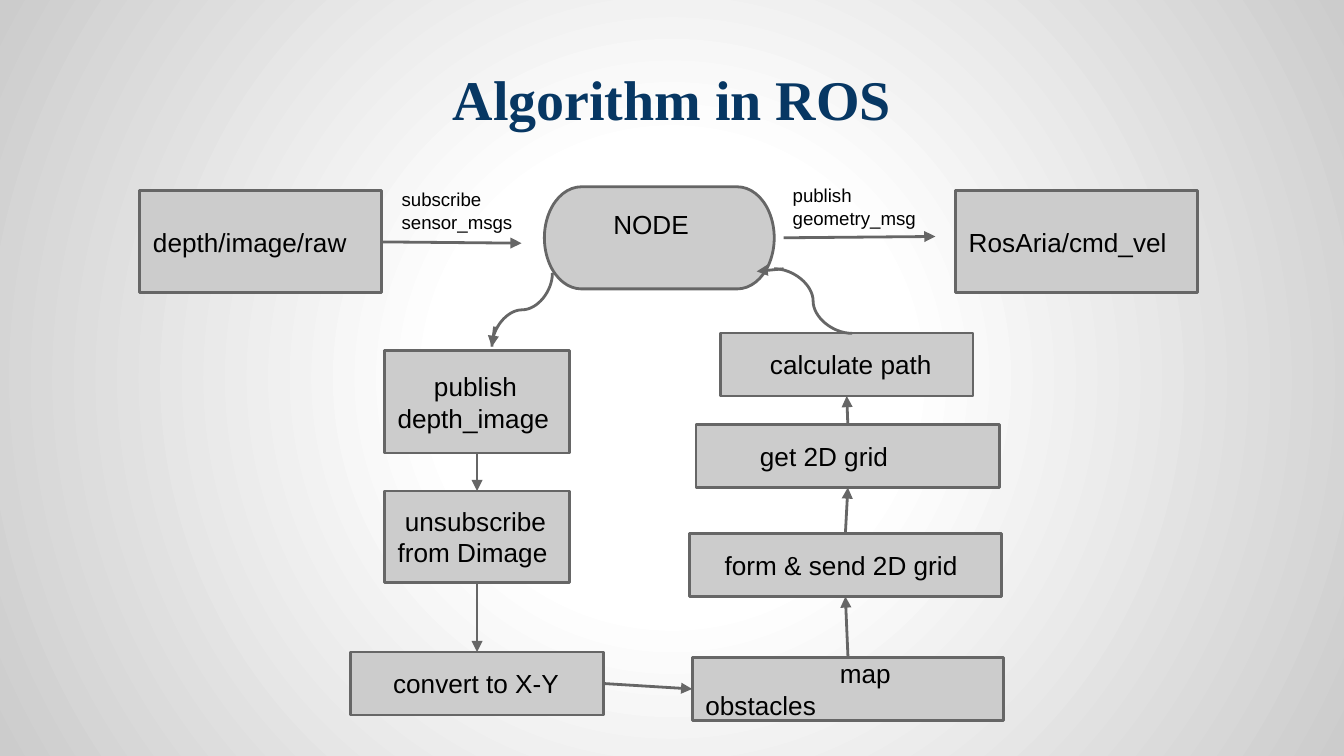
import pptx
import pptx.util
import pptx.dml.color
import pptx.enum.shapes
import pptx.enum.text
import pptx.oxml
import pptx.oxml.ns

Pt = pptx.util.Pt
Kind = pptx.enum.shapes.MSO_SHAPE
Link = pptx.enum.shapes.MSO_CONNECTOR
Align = pptx.enum.text.PP_ALIGN
Anchor = pptx.enum.text.MSO_ANCHOR

THEME = {
    "fill": "CCCCCC", "line": "666666", "text": "000000", "title": "073763",
    "glow": "FFFFFF", "edge": "CCCCCC",
    "font": "Arial", "head": "Times New Roman",
    "big": 30, "body": 14, "small": 10, "stroke": 1.5, "pad": 7.2,
}

# Content: centre x, top, width, height, first-line indent, lines
TITLE = "Algorithm in ROS"
BOXES = {
    "raw": (139.7, 102.2, 129.6, 54.7, 0, ["depth/image/raw"]),
    "vel": (576.7, 102.2, 129.6, 54.7, 0, ["RosAria/cmd_vel"]),
    "node": (353.2, 100.1, 123.1, 54.7, 24, ["NODE"]),
    "image": (255.6, 188, 99.4, 54.7, 19.5, ["publish", "depth_image"]),
    "unsub": (255.6, 263, 99.4, 49, 3.9, ["unsubscribe", "from Dimage"]),
    "xy": (255.6, 349.3, 135.4, 33.8, 15.6, ["convert to X-Y"]),
    "path": (453.6, 178.4, 135.4, 33.8, 19.5, ["calculate path"]),
    "get": (454.2, 227.4, 162.7, 33.8, 27.2, ["get 2D grid"]),
    "form": (452.9, 285.8, 167, 33.8, 11.7, ["form & send 2D grid"]),
    "map": (454.3, 352.2, 167, 33.8, 72, ["map obstacles"]),
}
LABELS = [
    (208.1, 93.6, 81.4, 28.8, ["subscribe", "sensor_msgs"]),
    (417.6, 91.4, 81.4, 25.2, ["publish geometry_msg"]),
]
# Joined arrows: from box, side, to box, side (0 top, 1 left, 2 bottom, 3 right)
JOINS = [
    ("image", 2, "unsub", 0), ("unsub", 2, "xy", 0), ("xy", 3, "map", 1),
    ("map", 0, "form", 2), ("form", 0, "get", 2), ("get", 0, "path", 2),
]
# Free arrows: x1, y1, x2, y2
ARROWS = [
    (205.2, 129.6, 279.4, 130.3), (419.8, 127.4, 501.1, 126.7),
    (419.8, 144, 405.4, 145.4), (265, 175, 263.5, 185.8),
]
# Curves: x1, y1, x2, y2, turn in degrees
CURVES = [(260, 149.8, 299.5, 182.2, 90), (456.5, 178.6, 414.7, 144, 0)]


def tint(name):
    return pptx.dml.color.RGBColor.from_string(THEME[name])


def write(shape, lines, size="body", font="font", color="text", bold=False,
          align=Align.LEFT, anchor=Anchor.TOP, indent=0):
    frame = shape.text_frame
    frame.word_wrap = True
    frame.vertical_anchor = anchor
    for side in ("left", "right", "top", "bottom"):
        setattr(frame, "margin_" + side, Pt(THEME["pad"]))
    for i, line in enumerate(lines):
        para = frame.add_paragraph() if i else frame.paragraphs[0]
        para.alignment = align
        if indent and i == 0:
            props = para._p.get_or_add_pPr()
            props.set("marL", "0")
            props.set("indent", str(int(Pt(indent))))
        run = para.add_run()
        run.text = line
        run.font.size = Pt(THEME[size])
        run.font.name = THEME[font]
        run.font.bold = bold
        run.font.color.rgb = tint(color)


def draw(slide, kind, x1, y1, x2, y2, head=True):
    line = slide.shapes.add_connector(kind, Pt(x1), Pt(y1), Pt(x2), Pt(y2))
    line.line.color.rgb = tint("line")
    line.line.width = Pt(THEME["stroke"])
    if head:
        tip = pptx.oxml.parse_xml(
            f'<a:tailEnd {pptx.oxml.ns.nsdecls("a")} type="triangle"/>')
        line.line._get_or_add_ln().append(tip)
    line._element.spPr.append(
        pptx.oxml.parse_xml(f'<a:effectLst {pptx.oxml.ns.nsdecls("a")}/>'))
    return line


def paint(slide):
    slide.background.fill.solid()
    props = slide._element.find(".//" + pptx.oxml.ns.qn("p:bgPr"))
    stops = "".join(
        f'<a:gs pos="{pos}000"><a:srgbClr val="{THEME[name]}"/></a:gs>'
        for pos, name in ((0, "glow"), (30, "glow"), (100, "edge")))
    props.replace(props[0], pptx.oxml.parse_xml(
        f'<a:gradFill {pptx.oxml.ns.nsdecls("a")}><a:gsLst>{stops}</a:gsLst>'
        '<a:path path="circle"><a:fillToRect l="50000" t="50000" '
        'r="50000" b="50000"/></a:path></a:gradFill>'))


def main():
    deck = pptx.Presentation()
    deck.slide_width, deck.slide_height = Pt(720), Pt(405)
    slide = deck.slides.add_slide(deck.slide_layouts[6])
    paint(slide)

    # Title
    title = slide.shapes.add_textbox(Pt(36), Pt(16.6), Pt(648), Pt(61.2))
    write(title, [TITLE], size="big", font="head", color="title", bold=True,
          align=Align.CENTER, anchor=Anchor.BOTTOM)

    # Boxes
    boxes = {}
    for name, (mid, top, wide, high, indent, lines) in BOXES.items():
        kind = Kind.FLOWCHART_TERMINATOR if name == "node" else Kind.RECTANGLE
        box = slide.shapes.add_shape(
            kind, Pt(mid - wide / 2), Pt(top), Pt(wide), Pt(high))
        box.shadow.inherit = False
        box.fill.solid()
        box.fill.fore_color.rgb = tint("fill")
        box.line.color.rgb = tint("line")
        box.line.width = Pt(THEME["stroke"])
        write(box, lines, anchor=Anchor.MIDDLE, indent=indent)
        boxes[name] = box
    # The node's text sits above the middle
    boxes["node"].text_frame.margin_top = Pt(0)
    boxes["node"].text_frame.margin_bottom = Pt(15)

    # Arrows and curves
    for start, out, end, into in JOINS:
        line = draw(slide, Link.STRAIGHT, 0, 0, 0, 0)
        line.begin_connect(boxes[start], out)
        line.end_connect(boxes[end], into)
    for ends in ARROWS:
        draw(slide, Link.STRAIGHT, *ends)
    for *ends, turn in CURVES:
        curve = draw(slide, Link.CURVE, *ends, head=False)
        if turn:
            curve._element.spPr.xfrm.set("rot", str(turn * 60000))

    # Topic labels
    for left, top, wide, high, lines in LABELS:
        label = slide.shapes.add_textbox(Pt(left), Pt(top), Pt(wide), Pt(high))
        write(label, lines, size="small")

    deck.save("out.pptx")


if __name__ == "__main__":
    main()
